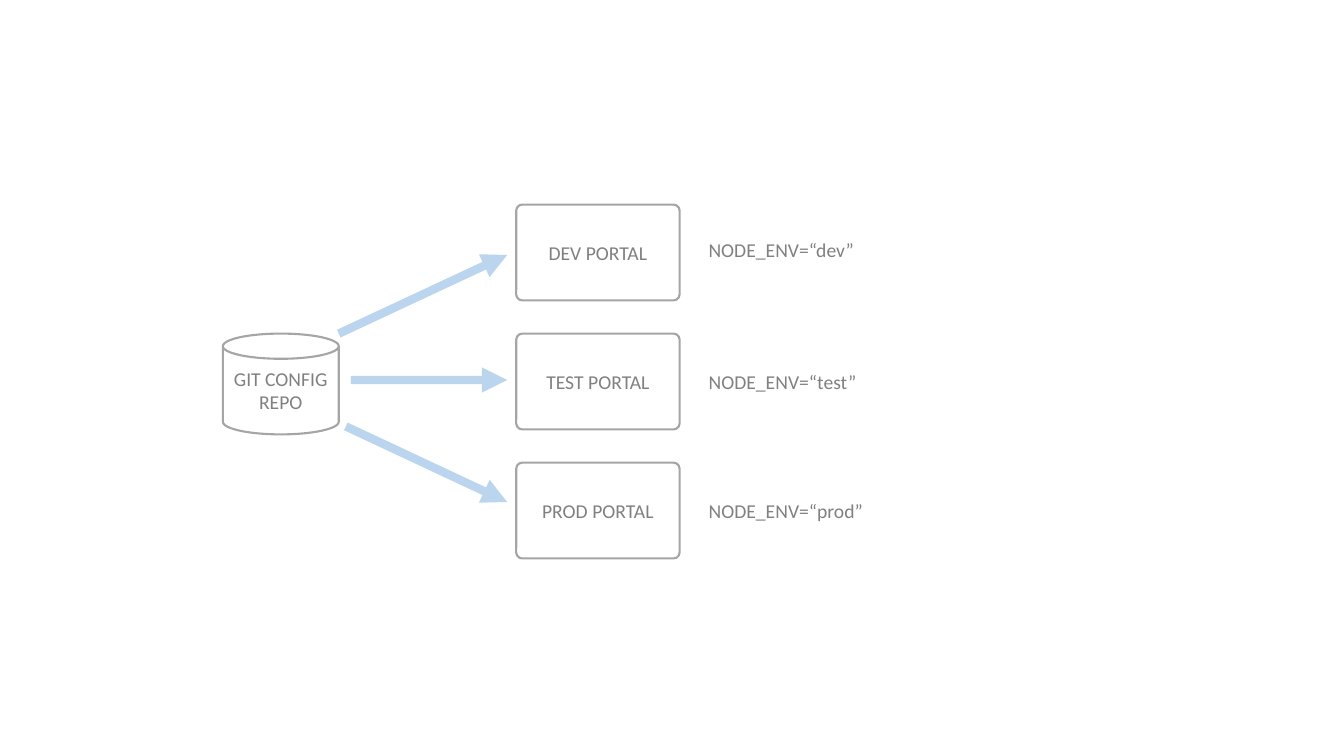
from copy import deepcopy

from pptx import Presentation
from pptx.dml.color import RGBColor
from pptx.enum.shapes import MSO_CONNECTOR, MSO_SHAPE
from pptx.enum.text import MSO_ANCHOR, MSO_AUTO_SIZE, PP_ALIGN
from pptx.oxml.ns import qn
from pptx.util import Inches, Pt
from lxml.etree import SubElement

COLORS = {"fill": "FFFFFF", "outline": "A5A5A5", "text": "808080", "arrow": "5B9BD5"}

# Environment name, top and width of its label
PORTALS = [("dev", 2.31, 1.66), ("test", 3.62, 1.68), ("prod", 4.9, 1.75)]
PORTAL_TOP, PORTAL_STEP = 2.03, 1.28
# Start and end of each arrow
ARROWS = [
    ((3.36, 3.31), (5.03, 2.53)),
    ((3.48, 3.77), (5.03, 3.77)),
    ((3.43, 4.23), (5.03, 4.98)),
]


def color(name):
    return RGBColor.from_string(COLORS[name])


def write(tf, text, size=14, font="Calibri", fill="text", align=PP_ALIGN.LEFT):
    """Fill a text frame with one paragraph; a vertical tab breaks the line."""
    p = tf.paragraphs[0]
    p.text = text
    p.alignment = align
    for r in p.runs:
        r.font.size = Pt(size)
        r.font.name = font
        r.font.color.rgb = color(fill)
    for br in p._p.findall(qn("a:br")):
        br.append(deepcopy(p.runs[0]._r.rPr))


def add_node(s, kind, left, top, width, height, text):
    sp = s.shapes.add_shape(kind, Inches(left), Inches(top), Inches(width), Inches(height))
    sp.shadow.inherit = False
    sp.fill.solid()
    sp.fill.fore_color.rgb = color("fill")
    sp.line.color.rgb = color("outline")
    sp.line.width = Pt(1.5)
    tf = sp.text_frame
    tf.word_wrap = True
    tf.vertical_anchor = MSO_ANCHOR.MIDDLE
    write(tf, text, align=PP_ALIGN.CENTER)
    return sp


def add_label(s, left, top, width, text):
    box = s.shapes.add_textbox(Inches(left), Inches(top), Inches(width), Inches(0.34))
    tf = box.text_frame
    tf.word_wrap = False
    tf.auto_size = MSO_AUTO_SIZE.SHAPE_TO_FIT_TEXT
    write(tf, text)


def add_arrow(s, start, end):
    points = [Inches(v) for v in (*start, *end)]
    cx = s.shapes.add_connector(MSO_CONNECTOR.STRAIGHT, *points)
    cx.line.color.rgb = color("arrow")
    cx.line.width = Pt(6)
    # Transparency, arrowhead and no shadow
    ln = cx.line._ln
    SubElement(ln.find(".//" + qn("a:srgbClr")), qn("a:alpha"), val="41000")
    SubElement(ln, qn("a:tailEnd"), type="triangle")
    SubElement(cx._element.spPr, qn("a:effectLst"))


def main():
    prs = Presentation()
    prs.slide_width, prs.slide_height = Inches(13.33), Inches(7.5)
    s = prs.slides.add_slide(prs.slide_layouts[6])

    # Portals
    for i, (env, _, _) in enumerate(PORTALS):
        top = PORTAL_TOP + i * PORTAL_STEP
        portal = add_node(s, MSO_SHAPE.ROUNDED_RECTANGLE, 5.12, top, 1.62, 0.95,
                          f"{env.upper()} PORTAL")
        portal.adjustments[0] = 0.062

    # Configuration store
    repo = add_node(s, MSO_SHAPE.CAN, 2.21, 3.31, 1.15, 1, "GIT CONFIG\vREPO")
    repo.text_frame.margin_left = repo.text_frame.margin_right = Inches(0.05)

    # Arrows from store to portals
    for start, end in ARROWS:
        add_arrow(s, start, end)

    # Environment labels
    for env, top, width in PORTALS:
        add_label(s, 6.93, top, width, f"NODE_ENV=“{env}”")

    prs.save("out.pptx")


if __name__ == "__main__":
    main()
